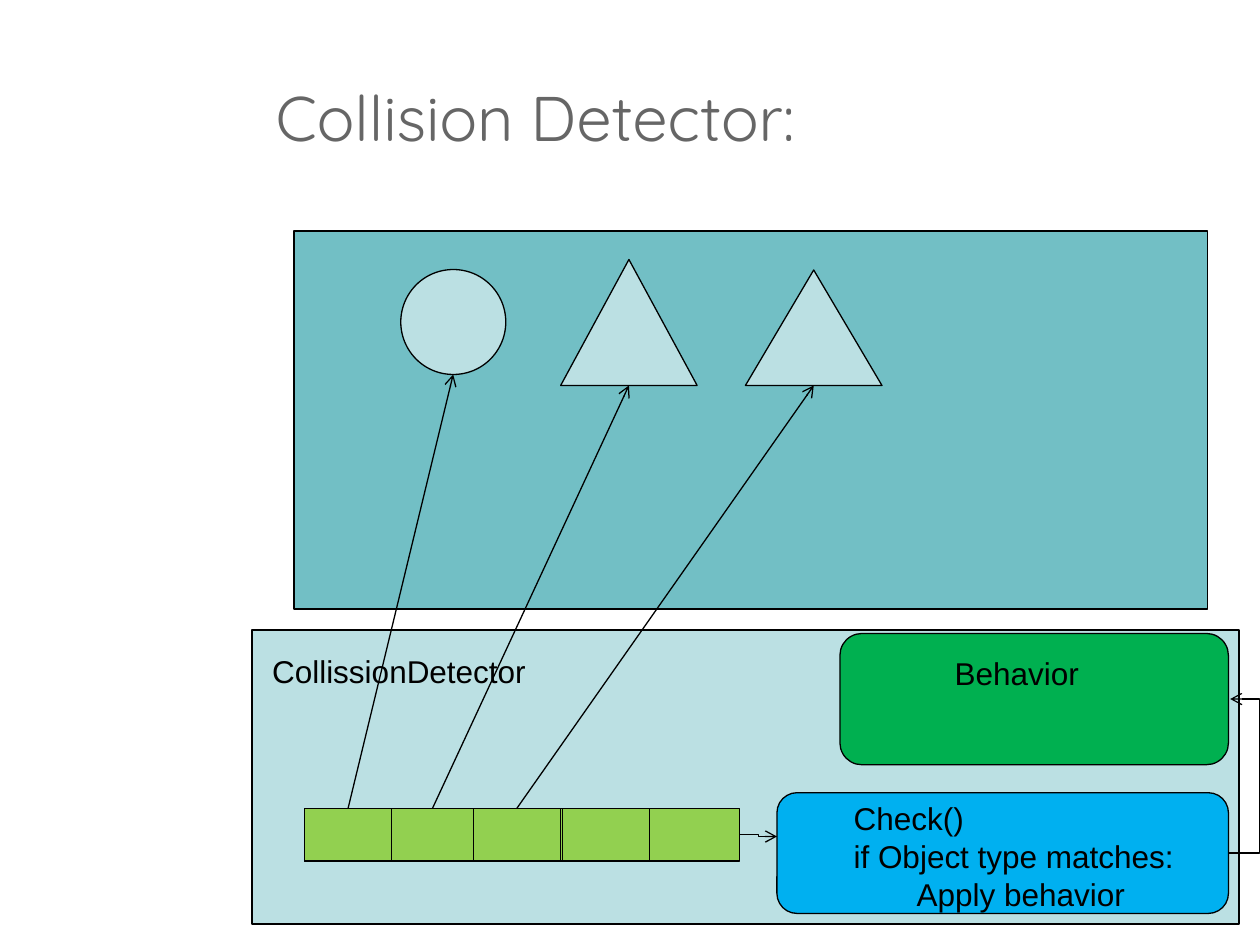
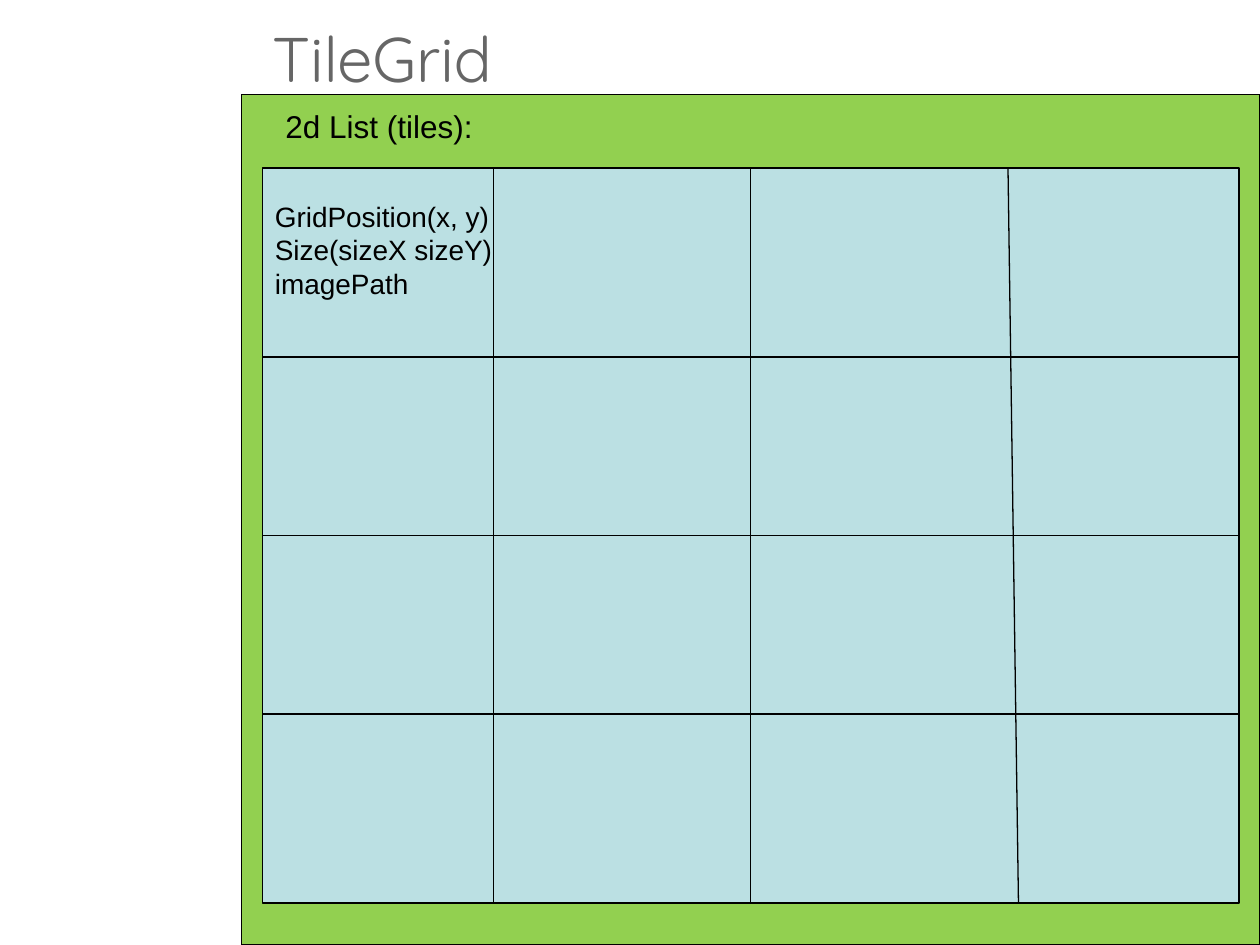
from lxml import etree
from pptx import Presentation
from pptx.dml.color import RGBColor
from pptx.enum.shapes import MSO_CONNECTOR as Link, MSO_SHAPE as Preset
from pptx.enum.text import MSO_ANCHOR as Anchor, MSO_AUTO_SIZE as AutoSize
from pptx.oxml.ns import qn
from pptx.util import Pt

BLACK, GRAY = "000000", "666666"
PALE, TEAL, LIME = "BBE0E3", "72BFC5", "92D050"
GREEN, BLUE = "00B050", "00B0F0"

DETECTOR_TITLE = ("Collision Detector:", (150.5, 21.6, 532.8, 90))
DETECTOR = (144, 360, 564, 168)
ARENA = (168, 132, 522, 216)
GAME_OBJECTS = [
    (Preset.OVAL, (229, 154, 60, 60)),
    (Preset.ISOSCELES_TRIANGLE, (320.4, 148.3, 78, 72)),
    (Preset.ISOSCELES_TRIANGLE, (426, 154.3, 78, 66)),
]
LIST_TOP, LIST_HEIGHT = 462, 30
LIST_LEFT, LIST_RIGHT = 174, 422.6
SLOTS = [(174, 49.7), (223.7, 46.8), (270.5, 49.7), (321.3, 49.7)]
ARROW_STARTS = [198.9, 247.1, 295.3]
BEHAVIOR = (480, 362, 222, 75)
CHECK = (444, 453, 258, 69)
DETECTOR_LABELS = [
    ("CollissionDetector", (148.4, 369.3, 161, 29)),
    ("Behavior", (538.4, 370.3, 86.5, 29)),
    ("Check()\vif Object type matches:\v\tApply behavior", (480.7, 453, 207.5, 72.7)),
]

GRID_TITLE = ("TileGrid", (148.4, 0, 532.8, 66))
LIST_PANEL = (138, 54, 582, 486)
GRID = (150, 96, 558, 420)
ROW_LINES = [204, 306, 408]
COLUMN_LINES = [(282, 282), (429, 429), (576, 582)]
LIST_LABEL = ("2d List (tiles):", (156, 57.5, 122.5, 29))
TILE_FIELDS = ("GridPosition(x, y)\nSize(sizeX sizeY)\nimagePath", (150, 110.3, 144, 65.5))


def color(value):
    return RGBColor.from_string(value)


def points(values):
    return [Pt(value) for value in values]


def add_box(slide, preset, place, fill):
    box = slide.shapes.add_shape(preset, *points(place))
    box.shadow.inherit = False
    box.fill.solid()
    box.fill.fore_color.rgb = color(fill)
    box.line.color.rgb = color(BLACK)
    box.line.width = Pt(0.75)


def add_text(slide, text, place, size=18, font="Arial", ink=BLACK, wrap=False):
    label = slide.shapes.add_textbox(*points(place))
    frame = label.text_frame
    frame.word_wrap = wrap
    frame.auto_size = AutoSize.SHAPE_TO_FIT_TEXT
    frame.text = text
    for paragraph in frame.paragraphs:
        paragraph.font.size = Pt(size)
        paragraph.font.name = font
        paragraph.font.color.rgb = color(ink)
    return frame


def add_title(slide, text, place):
    frame = add_text(slide, text, place, 36, "Quicksand", GRAY, True)
    frame.auto_size = AutoSize.NONE
    frame.vertical_anchor = Anchor.MIDDLE


def add_line(slide, start, end, arrow=False, kind=Link.STRAIGHT, bend=None):
    line = slide.shapes.add_connector(kind, *points(start + end))
    line.line.color.rgb = color(BLACK)
    line.line.width = Pt(0.75)
    properties = line._element.spPr
    etree.SubElement(properties, qn("a:effectLst"))
    if arrow:
        etree.SubElement(properties.find(qn("a:ln")), qn("a:tailEnd"), type="arrow")
    if bend is not None:
        guides = properties.find(qn("a:prstGeom")).find(qn("a:avLst"))
        etree.SubElement(guides, qn("a:gd"), name="adj1", fmla=f"val {bend * 100000}")


def build_detector(slide):
    add_box(slide, Preset.RECTANGLE, DETECTOR, PALE)
    add_title(slide, *DETECTOR_TITLE)
    whole_list = (LIST_LEFT, LIST_TOP, LIST_RIGHT - LIST_LEFT, LIST_HEIGHT)
    add_box(slide, Preset.RECTANGLE, whole_list, LIME)
    add_box(slide, Preset.RECTANGLE, ARENA, TEAL)
    for preset, place in GAME_OBJECTS:
        add_box(slide, preset, place, PALE)
    for start, (_, (left, top, width, height)) in zip(ARROW_STARTS, GAME_OBJECTS):
        add_line(slide, (start, LIST_TOP), (left + width / 2, top + height), arrow=True)
    for left, width in SLOTS:
        add_box(slide, Preset.RECTANGLE, (left, LIST_TOP, width, LIST_HEIGHT), LIME)
    add_box(slide, Preset.ROUNDED_RECTANGLE, BEHAVIOR, GREEN)
    add_box(slide, Preset.ROUNDED_RECTANGLE, CHECK, BLUE)
    for text, place in DETECTOR_LABELS:
        add_text(slide, text, place)
    add_line(slide, (LIST_RIGHT, 477), (CHECK[0], 478), True, Link.ELBOW)
    right = CHECK[0] + CHECK[2]
    add_line(slide, (right, CHECK[1] + CHECK[3] / 2),
             (right + 1, BEHAVIOR[1] + BEHAVIOR[3] / 2), True, Link.ELBOW, bend=18)


def build_tile_grid(slide):
    left, top, width, height = GRID
    add_box(slide, Preset.RECTANGLE, LIST_PANEL, LIME)
    add_title(slide, *GRID_TITLE)
    add_box(slide, Preset.RECTANGLE, GRID, PALE)
    for upper, lower in COLUMN_LINES:
        add_line(slide, (upper, top), (lower, top + height))
    for y in ROW_LINES:
        add_line(slide, (left, y), (left + width, y))
    add_text(slide, *TILE_FIELDS, size=16, wrap=True)
    add_text(slide, *LIST_LABEL)


deck = Presentation()
deck.slide_width, deck.slide_height = Pt(720), Pt(540)
for build in (build_detector, build_tile_grid):
    build(deck.slides.add_slide(deck.slide_layouts[6]))
deck.save("out.pptx")
